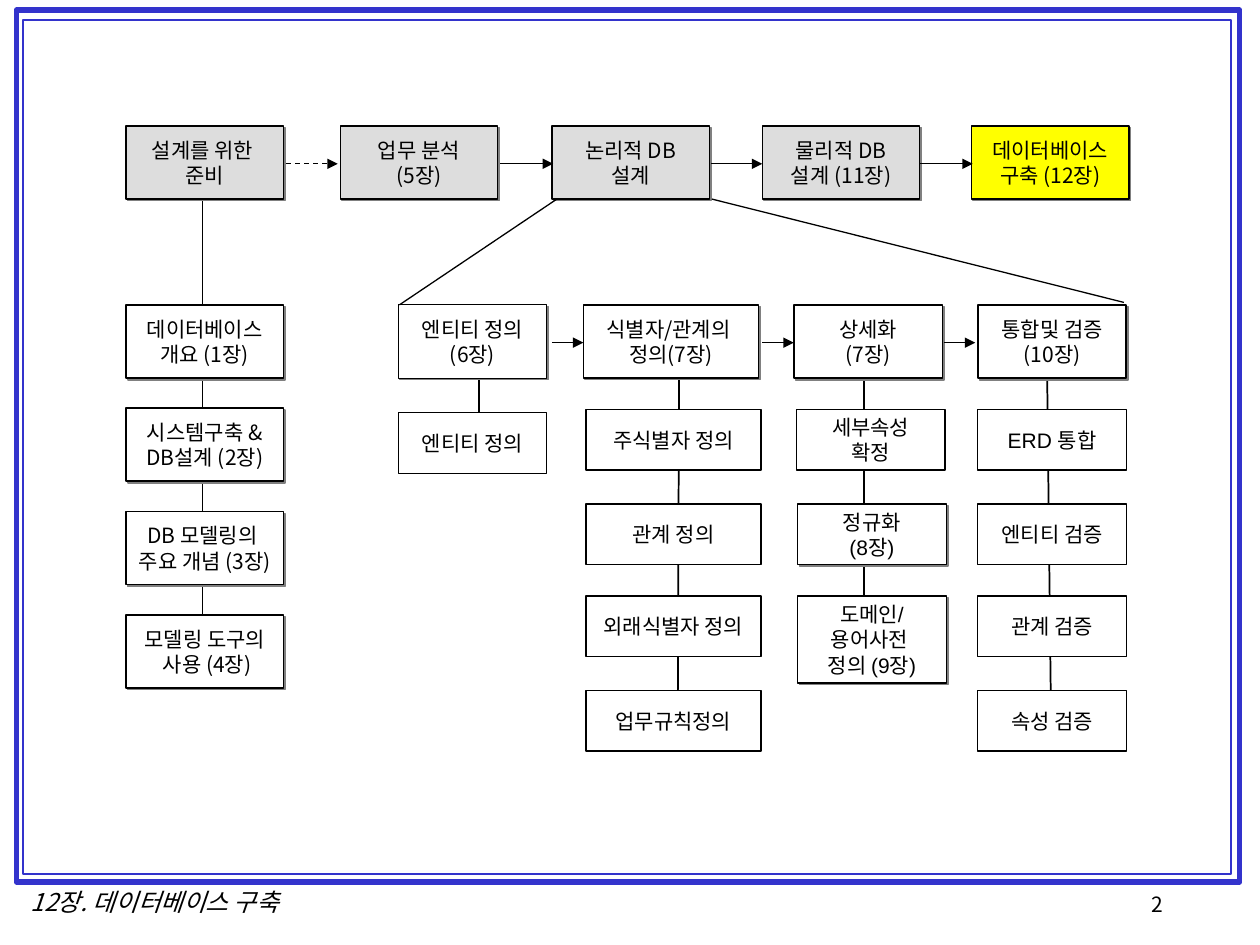
from dataclasses import dataclass

from lxml import etree
from pptx import Presentation
from pptx.dml.color import RGBColor
from pptx.enum.dml import MSO_LINE
from pptx.enum.shapes import MSO_CONNECTOR, MSO_SHAPE
from pptx.enum.text import MSO_ANCHOR, PP_ALIGN
from pptx.oxml import parse_xml
from pptx.oxml.ns import nsdecls, qn
from pptx.util import Inches, Pt

RECTANGLE = MSO_SHAPE.RECTANGLE
STRAIGHT = MSO_CONNECTOR.STRAIGHT
DASH = MSO_LINE.DASH
MIDDLE = MSO_ANCHOR.MIDDLE
LEFT, CENTER = PP_ALIGN.LEFT, PP_ALIGN.CENTER


@dataclass(frozen=True)
class Theme:
    black: RGBColor = RGBColor(0, 0, 0)
    white: RGBColor = RGBColor(255, 255, 255)
    gray: RGBColor = RGBColor(0xDD, 0xDD, 0xDD)
    yellow: RGBColor = RGBColor(255, 255, 0)
    frame: RGBColor = RGBColor(0x33, 0x33, 0xCC)
    shadow: str = "808080"
    korean: str = "Noto Sans CJK KR"
    latin: str = "Arial"
    body: Pt = Pt(12)
    footer: Pt = Pt(14)


theme = Theme()


def write(shape, text, font_name, size=theme.body, align=CENTER, italic=False):
    frame = shape.text_frame
    frame.text = text
    frame.word_wrap = False
    for paragraph in frame.paragraphs:
        paragraph.alignment = align
        for span in paragraph.runs:
            span.font.name = font_name
            span.font.size = size
            span.font.italic = italic
            span.font.color.rgb = theme.black
            east_asian = etree.SubElement(span._r.get_or_add_rPr(), qn("a:ea"))
            east_asian.set("typeface", theme.korean)


def add_line(start, end, width=0.75, arrow=False, dashed=False):
    line = page.shapes.add_connector(
        STRAIGHT, *(Inches(value) for value in (*start, *end)))
    line.line.color.rgb = theme.black
    line.line.width = Pt(width)
    if dashed:
        line.line.dash_style = DASH
    if arrow:
        tail = etree.SubElement(line.line._get_or_add_ln(), qn("a:tailEnd"))
        tail.set("type", "triangle")
    etree.SubElement(line._element.spPr, qn("a:effectLst"))


deck = Presentation()
deck.slide_width, deck.slide_height = Inches(10), Inches(7.5)
page = deck.slides.add_slide(deck.slide_layouts[6])

# Double page frame and footer
for left, top, width, height, weight in [(0.13, 0.08, 9.71, 6.92, 3),
                                         (0.18, 0.16, 9.59, 6.78, 1)]:
    border = page.shapes.add_shape(
        RECTANGLE, Inches(left), Inches(top), Inches(width), Inches(height))
    border.shadow.inherit = False
    border.fill.background()
    border.line.color.rgb = theme.frame
    border.line.width = Pt(weight)

page_number = page.shapes.add_textbox(
    Inches(9.04), Inches(7.03), Inches(1.02), Inches(0.33))
write(page_number, "2", theme.korean, align=LEFT)
chapter = page.shapes.add_textbox(
    Inches(0.07), Inches(6.99), Inches(2.32), Inches(0.34))
write(chapter, "12장. 데이터베이스 구축", theme.korean, theme.footer, italic=True)

# Vertical lines behind the boxes of each column
add_line((1.61, 1.58), (1.61, 4.92))
for start, end in [((6.86, 2.89), (6.86, 4.78)), ((5.39, 2.82), (5.38, 5.5)),
                   ((3.8, 2.96), (3.8, 3.3)), ((8.31, 2.89), (8.34, 5.55))]:
    add_line(start, end, width=1)

# Boxes: text, left, top, width, height, fill, line width, shadow, font
phase_top, step_top, tall, short = 1, 2.42, 0.58, 0.48
boxes = []
for text, left, fill in [("설계를 위한 \n준비", 1, theme.gray),
                         ("업무 분석\n(5장)", 2.7, theme.gray),
                         ("논리적 DB\n설계", 4.38, theme.gray),
                         ("물리적 DB\n설계 (11장)", 6.05, theme.gray),
                         ("데이터베이스\n구축 (12장)", 7.71, theme.yellow)]:
    boxes.append((text, left, phase_top, 1.25, tall, fill, 0.75, True, theme.korean))

preparation = [("데이터베이스\n개요 (1장)", 1), ("시스템구축 &\nDB설계 (2장)", 1),
               ("DB 모델링의 \n주요 개념 (3장)", 0.75), ("모델링 도구의\n 사용 (4장)", 0.75)]
for row, (text, weight) in enumerate(preparation):
    boxes.append((text, 1, step_top + 0.82 * row, 1.25, tall,
                  theme.white, weight, True, theme.korean))

for text, left, width, weight in [("엔티티 정의\n(6장)", 3.16, 1.18, 0.5),
                                  ("식별자/관계의 \n정의(7장)", 4.63, 1.39, 0.75),
                                  ("상세화\n(7장)", 6.3, 1.18, 1),
                                  ("통합및 검증\n(10장)", 7.76, 1.18, 1)]:
    boxes.append((text, left, step_top, width, tall,
                  theme.white, weight, True, theme.korean))

boxes.append(("엔티티 정의", 3.16, 3.27, 1.18, 0.49,
              theme.white, 0.5, False, theme.latin))
detail_tops = [3.25, 4, 4.73, 5.48]
details = [
    (4.65, 1.39, ["주식별자 정의", "관계 정의", "외래식별자 정의", "업무규칙정의"]),
    (7.76, 1.18, ["ERD 통합", "엔티티 검증", "관계 검증", "속성 검증"]),
]
for left, width, texts in details:
    for text, top in zip(texts, detail_tops):
        boxes.append((text, left, top, width, short,
                      theme.white, 0.75, False, theme.latin))
for text, left, top, height, shadow in [
        ("세부속성\n확정", 6.32, detail_tops[0], short, False),
        ("정규화\n(8장)", 6.33, detail_tops[1], short, True),
        ("도메인/\n용어사전 \n정의 (9장)", 6.33, detail_tops[2], 0.69, True)]:
    boxes.append((text, left, top, 1.18, height,
                  theme.white, 0.75, shadow, theme.latin))

for text, left, top, width, height, fill, weight, shadow, font_name in boxes:
    box = page.shapes.add_shape(
        RECTANGLE, Inches(left), Inches(top), Inches(width), Inches(height))
    box.fill.solid()
    box.fill.fore_color.rgb = fill
    box.line.color.rgb = theme.black
    box.line.width = Pt(weight)
    box.shadow.inherit = False
    if shadow:
        box._element.spPr.find(qn("a:effectLst")).append(parse_xml(
            f'<a:outerShdw {nsdecls("a")} dist="{Pt(1.4)}" dir="2700000" '
            f'algn="ctr" rotWithShape="0"><a:srgbClr val="{theme.shadow}"/>'
            '</a:outerShdw>'))
    box.text_frame.vertical_anchor = MIDDLE
    write(box, text, font_name)

# Arrows between phases and between design steps
for start, end in [(2.27, 2.68), (3.97, 4.39), (5.64, 6.05), (7.3, 7.72)]:
    add_line((start, 1.3), (end, 1.3), arrow=True, dashed=start == 2.27)
for start in [4.38, 6.05, 7.49]:
    add_line((start, 2.72), (start + 0.25, 2.72), arrow=True)

# Logical design opens out into its steps
add_line((4.42, 1.58), (3.17, 2.42))
add_line((5.65, 1.58), (8.92, 2.4))

deck.save("out.pptx")
